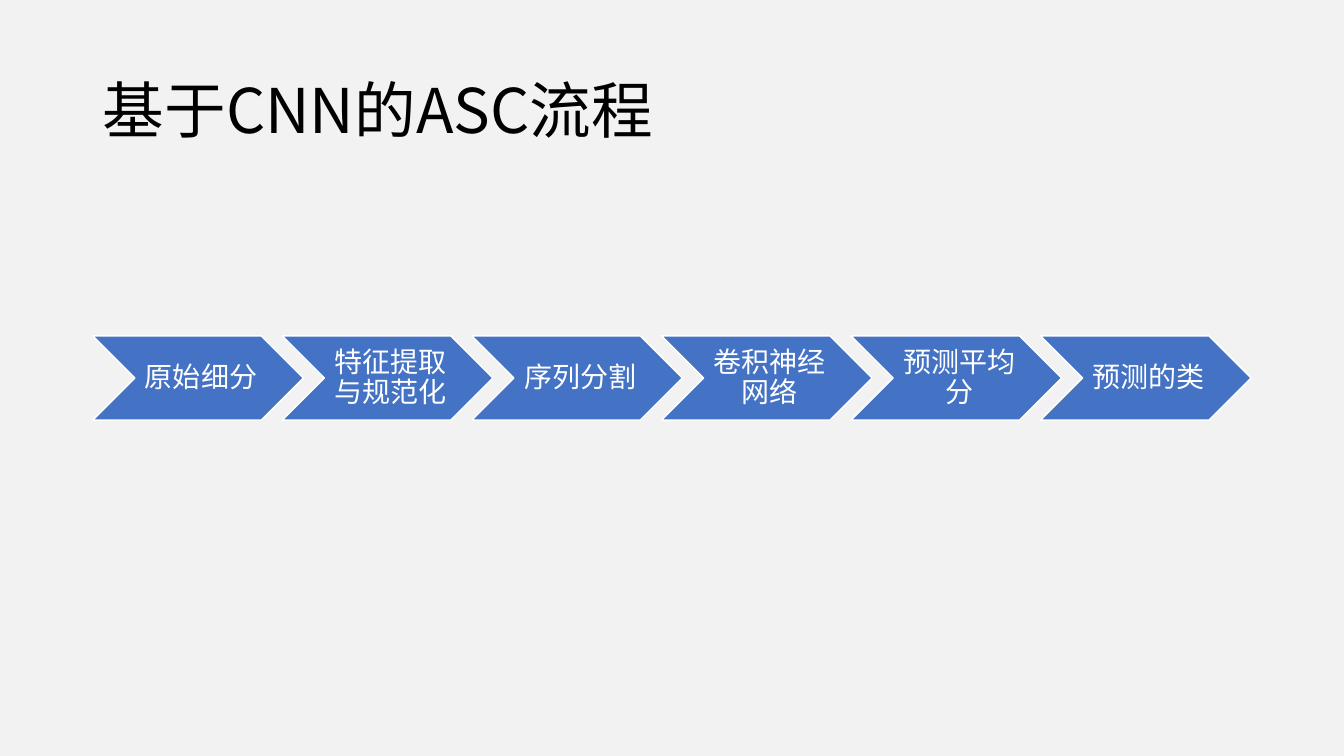
from lxml.etree import SubElement
from pptx import Presentation
from pptx.dml.color import RGBColor
from pptx.enum.shapes import MSO_SHAPE as Shape
from pptx.enum.text import MSO_ANCHOR as Anchor, PP_ALIGN as Align
from pptx.oxml.ns import qn
from pptx.util import Inches, Pt

FONT = "Noto Sans CJK SC"
BACKGROUND = RGBColor(0xF2, 0xF2, 0xF2)
BLUE = RGBColor(0x44, 0x72, 0xC4)
WHITE = RGBColor(0xFF, 0xFF, 0xFF)
BLACK = RGBColor(0x00, 0x00, 0x00)

TITLE = "基于CNN的ASC流程"
STEPS = ["原始细分", "特征提取与规范化", "序列分割", "卷积神经网络", "预测平均分", "预测的类"]
OVERLAP = 0.1
HEIGHT_RATIO = 0.4


def write_text(shape, text, size, color, align):
    """Fill a shape with one vertically centred, wrapped paragraph."""
    frame = shape.text_frame
    frame.text = text
    frame.word_wrap = True
    frame.vertical_anchor = Anchor.MIDDLE
    para = frame.paragraphs[0]
    para.alignment = align
    para.line_spacing = 0.9
    font = para.runs[0].font
    font.name = FONT
    font.size = Pt(size)
    font.color.rgb = color
    SubElement(para.runs[0]._r.get_or_add_rPr(), qn("a:ea"), typeface=FONT)


def add_title(page, left, top, width, height):
    """Place the heading in the given box."""
    box = page.shapes.add_textbox(left, top, width, height)
    write_text(box, TITLE, 44, BLACK, Align.LEFT)


def add_process(page, left, top, width, height):
    """Spread overlapping chevrons across the box, centred vertically."""
    step_width = width / (len(STEPS) - OVERLAP * (len(STEPS) - 1))
    step_height = step_width * HEIGHT_RATIO
    step_top = top + (height - step_height) / 2
    for index, label in enumerate(STEPS):
        step_left = left + index * step_width * (1 - OVERLAP)
        chevron = page.shapes.add_shape(
            Shape.CHEVRON, int(step_left), int(step_top), int(step_width), int(step_height))
        chevron.shadow.inherit = False
        chevron.fill.solid()
        chevron.fill.fore_color.rgb = BLUE
        chevron.line.color.rgb = WHITE
        chevron.line.width = Pt(1)
        frame = chevron.text_frame
        frame.margin_left = Inches(0.09)
        frame.margin_top = frame.margin_right = frame.margin_bottom = Inches(0.03)
        write_text(chevron, label, 20, WHITE, Align.CENTER)


def main():
    """Build the slide and save it."""
    deck = Presentation()
    deck.slide_width, deck.slide_height = Inches(13.33), Inches(7.5)
    page = deck.slides.add_slide(deck.slide_layouts[6])
    page.background.fill.solid()
    page.background.fill.fore_color.rgb = BACKGROUND
    margin = Inches(0.92)
    width = deck.slide_width - 2 * margin
    add_title(page, margin, Inches(0.4), width, Inches(1.45))
    add_process(page, margin, 0, width, deck.slide_height)
    deck.save("out.pptx")


if __name__ == "__main__":
    main()
